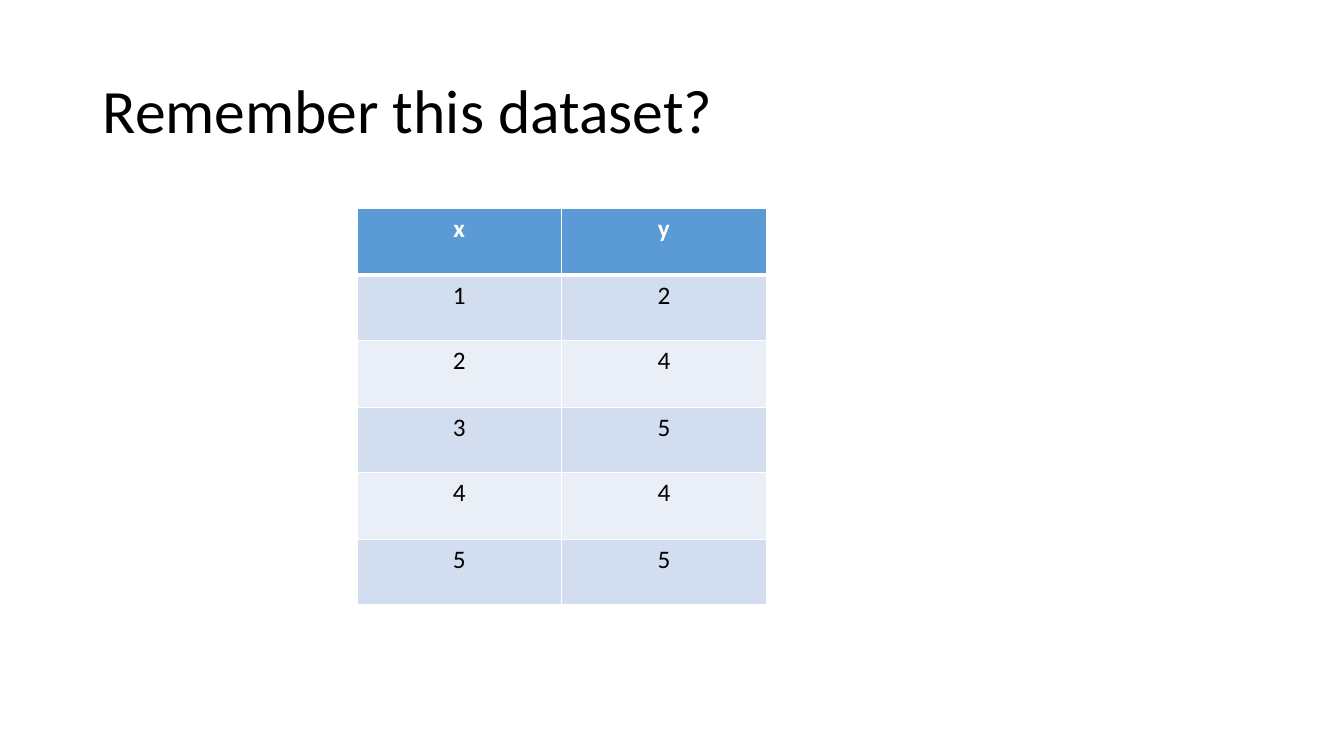
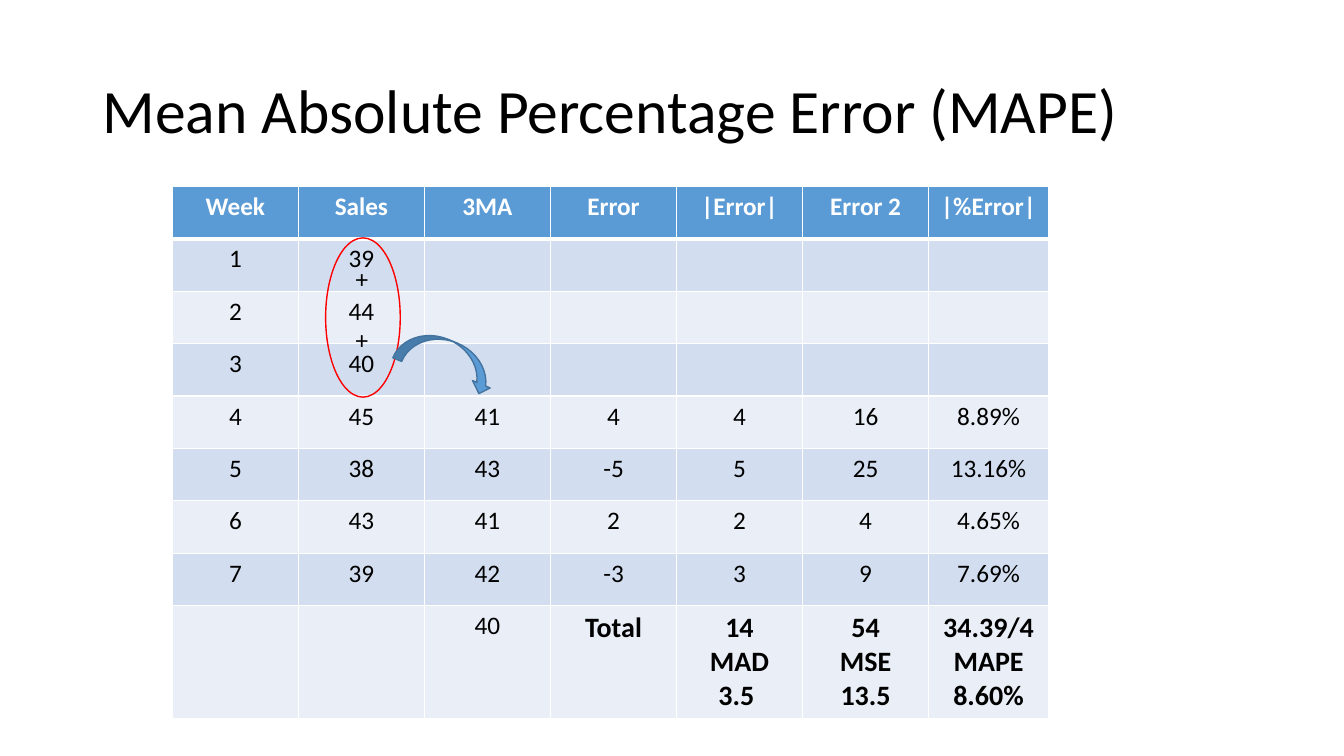
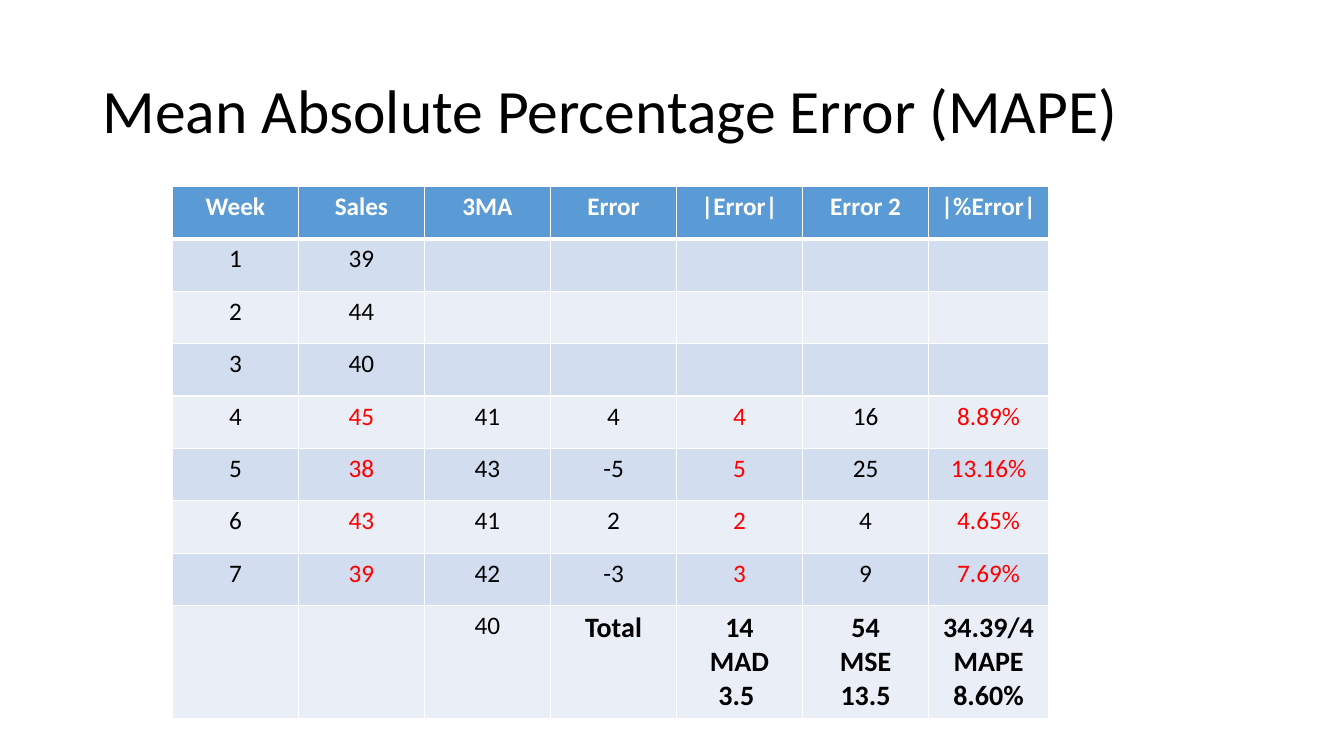
from lxml import etree
from pptx import Presentation
from pptx import util as u
from pptx.dml.color import RGBColor
from pptx.enum import shapes, text
from pptx.oxml import ns

EMU_PER_PX = 9144  # 100 px to the inch
FONT = "Calibri"
COLORS = {
    "black": "000000",
    "white": "FFFFFF",
    "red": "FF0000",
    "blue": "5B9BD5",
    "dark_blue": "43739E",
    "band_dark": "D2DEEF",
    "band_light": "EAEFF7",
}

DATASET = [("x", "y"), ("1", "2"), ("2", "4"), ("3", "5"), ("4", "4"), ("5", "5")]
FORECAST = [
    ("Week", "Sales", "3MA", "Error", "|Error|", "Error 2", "|%Error|"),
    ("1", "39", "", "", "", "", ""),
    ("2", "44", "", "", "", "", ""),
    ("3", "40", "", "", "", "", ""),
    ("4", "45", "41", "4", "4", "16", "8.89%"),
    ("5", "38", "43", "-5", "5", "25", "13.16%"),
    ("6", "43", "41", "2", "2", "4", "4.65%"),
    ("7", "39", "42", "-3", "3", "9", "7.69%"),
    ("", "", "40", "Total", "14\nMAD\n3.5 ", "54\nMSE\n13.5", "34.39/4\nMAPE\n8.60%"),
]
# Cells that enter the MAPE formula: sales, |error| and |%error| of weeks 4 to 7
MAPE_INPUTS = {(row, column) for row in range(4, 8) for column in (1, 4, 6)}
# Totals row, from the "Total" label onwards
TOTALS = {(8, column) for column in range(3, 7)}


def px(length):
    return u.Emu(length * EMU_PER_PX)


def box(left, top, width, height):
    return px(left), px(top), px(width), px(height)


def color(name):
    return RGBColor.from_string(COLORS[name])


def format_paragraph(paragraph, size, color_name="black", bold=False, align=None):
    paragraph.alignment = align
    for run in paragraph.runs:
        run.font.name = FONT
        run.font.size = u.Pt(size)
        run.font.bold = bold
        run.font.color.rgb = color(color_name)


def add_title_slide(presentation, title):
    slide = presentation.slides.add_slide(presentation.slide_layouts[6])
    frame = slide.shapes.add_textbox(*box(92, 40, 1150, 145)).text_frame
    frame.word_wrap = True
    frame.vertical_anchor = text.MSO_ANCHOR.MIDDLE
    frame.text = title
    frame.paragraphs[0].line_spacing = 0.9
    format_paragraph(frame.paragraphs[0], 44)
    return slide


# Tables
def set_borders(cell, top, bottom):
    properties = cell._tc.get_or_add_tcPr()
    for side, points in (("L", 1), ("R", 1), ("T", top), ("B", bottom)):
        line = etree.SubElement(properties, ns.qn("a:ln" + side), w=str(u.Pt(points)))
        fill = etree.SubElement(line, ns.qn("a:solidFill"))
        etree.SubElement(fill, ns.qn("a:srgbClr"), val=COLORS["white"])


def fill_cell(cell, value, row, size, text_color, bold):
    set_borders(cell, top=3 if row == 1 else 1, bottom=3 if row == 0 else 1)
    band = "blue" if row == 0 else "band_dark" if row % 2 else "band_light"
    cell.fill.solid()
    cell.fill.fore_color.rgb = color(band)
    cell.text_frame.text = value
    for paragraph in cell.text_frame.paragraphs:
        format_paragraph(paragraph, size, text_color, bold, text.PP_ALIGN.CENTER)


def add_data_table(slide, data, left, top, widths, heights, totals=(), red_cells=()):
    frame = slide.shapes.add_table(
        len(data), len(widths), *box(left, top, sum(widths), sum(heights)))
    table = frame.table
    table.horz_banding = False
    for column, width in zip(table.columns, widths):
        column.width = px(width)
    for row, height in zip(table.rows, heights):
        row.height = px(height)
    for row, values in enumerate(data):
        for column, value in enumerate(values):
            place = (row, column)
            text_color = "white" if row == 0 else "red" if place in red_cells else "black"
            fill_cell(table.cell(row, column), value, row,
                      size=20 if place in totals else 18,
                      text_color=text_color,
                      bold=row == 0 or place in totals)


def add_forecast_table(slide, red_cells=()):
    add_data_table(slide, FORECAST, 171, 185, [125] * 6 + [119], [52] * 8 + [112],
                   TOTALS, red_cells)


# Moving average marks
def add_outlined_shape(slide, kind, place, line_color, fill_color=None, rotation=0):
    shape = slide.shapes.add_shape(kind, *box(*place))
    shape.shadow.inherit = False
    shape.rotation = rotation
    shape.line.color.rgb = color(line_color)
    shape.line.width = u.Pt(1)
    if fill_color:
        shape.fill.solid()
        shape.fill.fore_color.rgb = color(fill_color)
    else:
        shape.fill.background()


def add_plus_signs(slide):
    frame = slide.shapes.add_textbox(*box(343, 256, 33, 101)).text_frame
    frame.word_wrap = False
    frame.text = "+\n+"
    for paragraph in frame.paragraphs:
        format_paragraph(paragraph, 18)
    frame.paragraphs[1].space_before = u.Pt(22)


def main():
    presentation = Presentation()
    presentation.slide_width, presentation.slide_height = px(1333), px(750)

    # Dataset
    slide = add_title_slide(presentation, "Remember this dataset?")
    add_data_table(slide, DATASET, 354, 207, [203] * 2, [66, 65] * 3)

    # Three-week moving average
    mape_title = "Mean Absolute Percentage Error (MAPE)"
    slide = add_title_slide(presentation, mape_title)
    add_forecast_table(slide)
    add_outlined_shape(slide, shapes.MSO_SHAPE.OVAL, (323, 236, 74, 158), "red")
    add_outlined_shape(slide, shapes.MSO_SHAPE.CURVED_LEFT_ARROW, (425, 306, 38, 102),
                       "dark_blue", "blue", rotation=292.6)
    add_plus_signs(slide)

    # Inputs of the MAPE
    slide = add_title_slide(presentation, mape_title)
    add_forecast_table(slide, MAPE_INPUTS)

    presentation.save("out.pptx")


if __name__ == "__main__":
    main()
